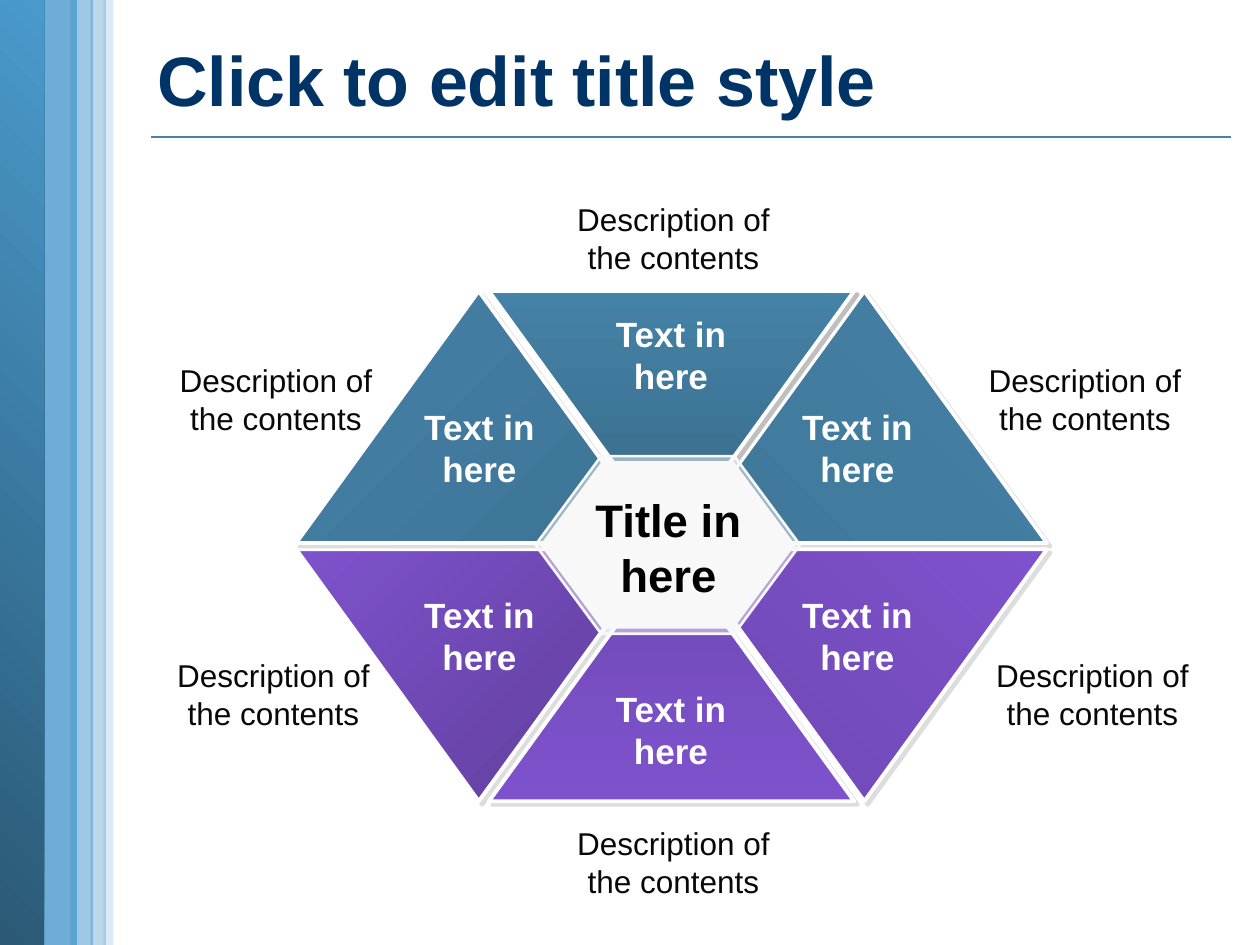
from lxml import etree
from pptx import Presentation
from pptx.dml.color import RGBColor
from pptx.enum import shapes, text
from pptx.oxml.ns import qn
from pptx.util import Inches, Pt

COLORS = {
    "sky": "4A9ACC", "deep": "2B5976", "teal": "4582A7", "navy": "003366",
    "violet": "7E52CC", "white": "FFFFFF", "pale": "F8F8F8",
    "ink": "080808", "black": "000000", "shade": "DDDDDD", "grey": "808080",
}
RECT = shapes.MSO_SHAPE.RECTANGLE
TRIANGLE = shapes.MSO_SHAPE.ISOSCELES_TRIANGLE
HEXAGON = shapes.MSO_SHAPE.HEXAGON


def rgb(name):
    return RGBColor.from_string(COLORS.get(name, name))


def add_shape(s, kind, x, y, w, h):
    sp = s.shapes.add_shape(kind, Inches(x), Inches(y), Inches(w), Inches(h))
    sp.shadow.inherit = False
    sp.line.fill.background()
    return sp


def fill_solid(sp, color, alpha=100):
    sp.fill.solid()
    sp.fill.fore_color.rgb = rgb(color)
    if alpha < 100:
        clr = sp._element.spPr.find(qn("a:solidFill"))[0]
        etree.SubElement(clr, qn("a:alpha"), val=str(alpha * 1000))


def fill_gradient(sp, start, end, angle):
    """Fill from start to end along a direction in clockwise degrees."""
    sp.fill.gradient()
    sp.fill.gradient_angle = (360 - angle) % 360
    for stop, color, position in zip(sp.fill.gradient_stops, (start, end), (0, 1)):
        stop.color.rgb = rgb(color)
        stop.position = position


def outline(sp, color, width):
    sp.line.color.rgb = rgb(color)
    sp.line.width = Pt(width)


def drop_shadow(sp, color, alpha):
    effects = sp._element.spPr.find(qn("a:effectLst"))
    shadow = etree.SubElement(effects, qn("a:outerShdw"), dist=str(Pt(2.8)),
                              dir=str(45 * 60000), algn="ctr", rotWithShape="0")
    clr = etree.SubElement(shadow, qn("a:srgbClr"), val=COLORS[color])
    etree.SubElement(clr, qn("a:alpha"), val=str(alpha * 1000))


def add_text(s, lines, x, y, w, h, size, color, bold=False,
             align=text.PP_ALIGN.CENTER, anchor=text.MSO_ANCHOR.TOP):
    box = s.shapes.add_textbox(Inches(x), Inches(y), Inches(w), Inches(h))
    tf = box.text_frame
    tf.word_wrap = True
    tf.vertical_anchor = anchor
    tf.text = lines
    for p in tf.paragraphs:
        p.alignment = align
        p.font.name = "Arial"
        p.font.size = Pt(size)
        p.font.bold = bold
        p.font.color.rgb = rgb(color)


def add_side_bands(s, x, y, h):
    for dx, w, alpha in ((0.31, 0.31, 80), (0.83, 0.08, 20),
                         (0.57, 0.18, 54), (0.73, 0.12, 37)):
        fill_solid(add_shape(s, RECT, x + dx, y, w, h), "sky", alpha)
    fill_gradient(add_shape(s, RECT, x, y, 0.36, h), "deep", "sky", 315)


def add_header(s, x, y, w, h):
    rule = s.shapes.add_connector(
        shapes.MSO_CONNECTOR.STRAIGHT, Inches(x + 0.05), Inches(y + 1.02),
        Inches(x + w - 0.08), Inches(y + 1.02))
    outline(rule, "teal", 1)
    etree.SubElement(rule._element.spPr, qn("a:effectLst"))
    add_text(s, "Click to edit title style", x, y, w, h, 40, "navy", True,
             text.PP_ALIGN.LEFT, text.MSO_ANCHOR.MIDDLE)


def add_wheel(s, x, y):
    """Six triangles around a hexagonal hub, each with a caption inside."""
    w, h, step, row = 2.9, 2, 1.53, 2.05
    # column, row, points down, gradient start, end, angle, shadow, its alpha
    wedges = (
        (0, 1, True, "violet", "5E3D98", 315, "shade", 100),
        (2, 0, False, "3F7799", "teal", 315, "shade", 100),
        (0, 0, False, "teal", "3D7394", 45, "shade", 100),
        (1, 0, True, "376886", "teal", 90, "grey", 50),
        (1, 1, False, "7049B5", "violet", 90, "shade", 100),
        (2, 1, True, "6E47B2", "violet", 45, "shade", 100),
    )
    for col, r, down, start, end, angle, shade, alpha in wedges:
        sp = add_shape(s, TRIANGLE, x + col * step, y + r * row, w, h)
        if down:
            sp._element.spPr.find(qn("a:xfrm")).set("flipV", "1")
        fill_gradient(sp, start, end, angle)
        outline(sp, "white", 2.25)
        drop_shadow(sp, shade, alpha)

    for dx, dy in ((2.19, 0.12), (0.67, 0.86), (3.67, 0.86),
                   (0.67, 2.35), (3.67, 2.35), (2.19, 3.1)):
        add_text(s, "Text in here", x + dx, y + dy, 1.57, 0.77, 20, "white", True)

    for inset, alpha in ((0, 50), (0.05, 100)):
        hub = add_shape(s, HEXAGON, x + 1.9 + inset, y + 1.31 + inset,
                        2.1 - 2 * inset, 1.41 - 2 * inset)
        hub.adjustments[0] = 0.37
        fill_solid(hub, "pale", alpha)
        outline(hub, "pale", 1.5)
    add_text(s, "Title in here", x + 2.25, y + 1.55, 1.41, 0.97, 26, "black", True)


def add_descriptions(s, x, y):
    for dx, dy in ((0.02, 1.28), (6.44, 1.28), (0, 3.62), (6.5, 3.62)):
        add_text(s, "Description of the contents", x + dx, y + dy,
                 1.82, 0.7, 18, "ink")
    for dy in (0, 4.95):
        add_text(s, "Description of\nthe contents", x + 2.99, y + dy,
                 2.19, 0.7, 18, "ink")


def main():
    prs = Presentation()
    prs.slide_width, prs.slide_height = Inches(10), Inches(7.5)
    s = prs.slides.add_slide(prs.slide_layouts[6])
    add_side_bands(s, -0.01, 0, 7.5)
    add_header(s, 1.15, 0.07, 8.7, 1.11)
    add_wheel(s, 2.35, 2.31)
    add_descriptions(s, 1.26, 1.54)
    prs.save("out.pptx")


if __name__ == "__main__":
    main()
